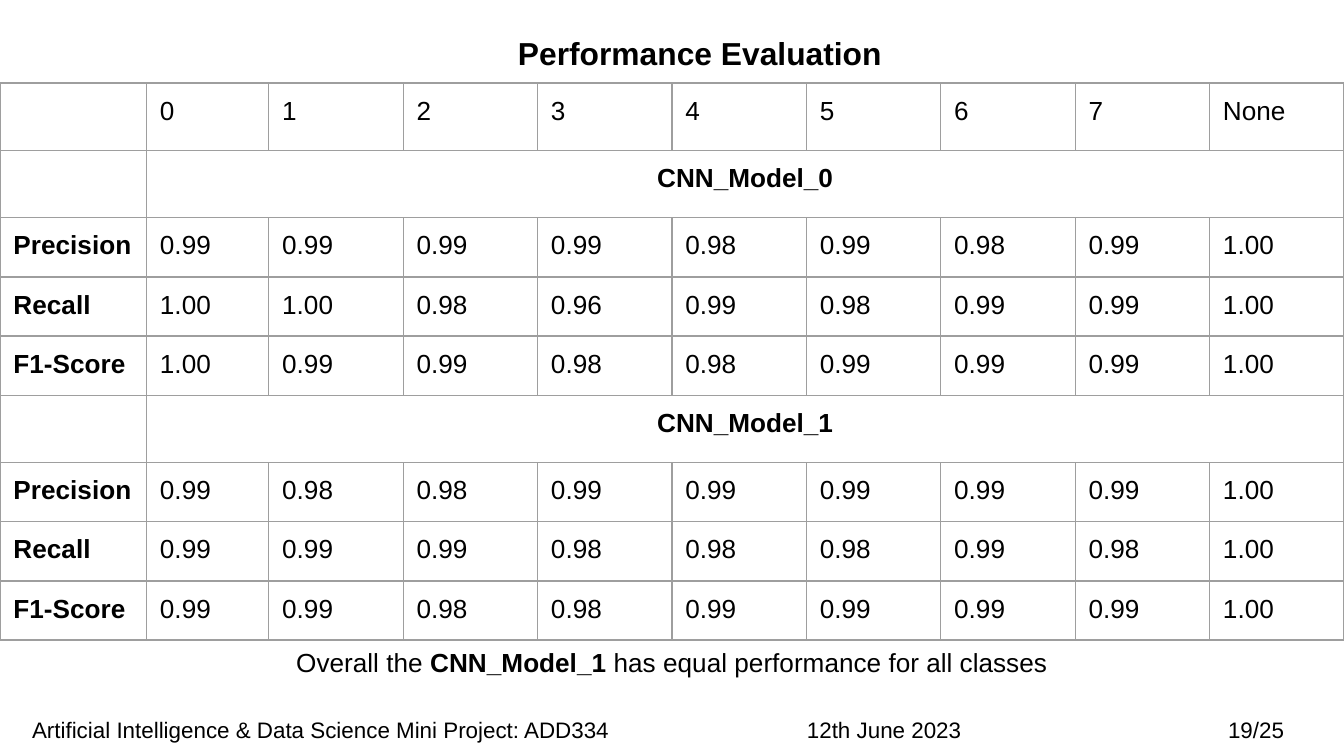
import pptx
import pptx.dml.color
import pptx.enum.text
import pptx.oxml
import pptx.oxml.ns
import pptx.util

Pt = pptx.util.Pt
ALIGN = pptx.enum.text.PP_ALIGN
ANCHOR = pptx.enum.text.MSO_ANCHOR

TITLE = "Performance Evaluation"
CLASSES = ["0", "1", "2", "3", "4", "5", "6", "7", "None"]
MODELS = {
    "CNN_Model_0": {
        "Precision": [0.99, 0.99, 0.99, 0.99, 0.98, 0.99, 0.98, 0.99, 1],
        "Recall": [1, 1, 0.98, 0.96, 0.99, 0.98, 0.99, 0.99, 1],
        "F1-Score": [1, 0.99, 0.99, 0.98, 0.98, 0.99, 0.99, 0.99, 1],
    },
    "CNN_Model_1": {
        "Precision": [0.99, 0.98, 0.98, 0.99, 0.99, 0.99, 0.99, 0.99, 1],
        "Recall": [0.99, 0.99, 0.99, 0.98, 0.98, 0.98, 0.99, 0.98, 1],
        "F1-Score": [0.99, 0.99, 0.98, 0.98, 0.99, 0.99, 0.99, 0.99, 1],
    },
}
CAPTION = [
    ("Overall the ", False),
    ("CNN_Model_1", True),
    (" has equal performance for all classes", False),
]
FOOTER = [
    "Artificial Intelligence & Data Science Mini Project: ADD334",
    "12th June 2023",
    "19/25",
]

THEME = {
    "font": "Arial", "text": "000000", "border": "9E9E9E", "background": "FFFFFF",
    "title": 17, "body": 14, "footer": 12, "border_width": 0.75, "inset": 7.2,
}
WIDTH, HEIGHT = 720, 405
TABLE_TOP = 44.5
COLUMN_WIDTHS = [78.5, 65.5] + [72] * 8
HEADING_HEIGHT, SCORE_HEIGHT = 36.1, 31.7
FOOTER_INSET = 17.2
FOOTER_TABS = [415.1, 640.7]


def style_paragraph(para, size, bold=None, align=ALIGN.LEFT):
    para.alignment = align
    para.font.name = THEME["font"]
    para.font.size = Pt(size)
    para.font.bold = bold
    para.font.color.rgb = pptx.dml.color.RGBColor.from_string(THEME["text"])


def set_insets(target, left=THEME["inset"]):
    target.margin_left = Pt(left)
    target.margin_right = target.margin_top = target.margin_bottom = Pt(THEME["inset"])


def prepare_frame(box, left=THEME["inset"]):
    frame = box.text_frame
    frame.word_wrap = True
    frame.auto_size = pptx.enum.text.MSO_AUTO_SIZE.NONE
    frame.vertical_anchor = ANCHOR.MIDDLE
    set_insets(frame, left)
    return frame.paragraphs[0]


def add_borders(cell):
    properties = cell._tc.get_or_add_tcPr()
    for side in ("lnL", "lnR", "lnT", "lnB"):
        properties.append(pptx.oxml.parse_xml(
            f'<a:{side} {pptx.oxml.ns.nsdecls("a")} w="{int(Pt(THEME["border_width"]))}">'
            f'<a:solidFill><a:srgbClr val="{THEME["border"]}"/></a:solidFill></a:{side}>'
        ))


def add_tabs(para, positions):
    stops = "".join(f'<a:tab pos="{int(Pt(place))}" algn="l"/>' for place in positions)
    tabs = pptx.oxml.parse_xml(
        f'<a:tabLst {pptx.oxml.ns.nsdecls("a")}>{stops}</a:tabLst>'
    )
    para._p.get_or_add_pPr().insert(0, tabs)


def add_scores(slide):
    rows = [[""] + CLASSES]
    heading_rows = []
    for model, metrics in MODELS.items():
        heading_rows.append(len(rows))
        rows.append(["", model] + [""] * (len(CLASSES) - 1))
        for metric, scores in metrics.items():
            rows.append([metric] + [f"{score:.2f}" for score in scores])

    heights = [
        HEADING_HEIGHT if index == 0 or index in heading_rows else SCORE_HEIGHT
        for index in range(len(rows))
    ]
    table = slide.shapes.add_table(
        len(rows), len(COLUMN_WIDTHS), Pt(0), Pt(TABLE_TOP), Pt(WIDTH), Pt(sum(heights))
    ).table
    table.first_row = table.horz_banding = False
    for column, width in zip(table.columns, COLUMN_WIDTHS):
        column.width = Pt(width)
    for row, height in zip(table.rows, heights):
        row.height = Pt(height)

    for row_index, texts in enumerate(rows):
        is_heading = row_index in heading_rows
        for column_index, text in enumerate(texts):
            cell = table.cell(row_index, column_index)
            set_insets(cell)
            cell.vertical_anchor = ANCHOR.TOP
            add_borders(cell)
            cell.fill.background()
            para = cell.text_frame.paragraphs[0]
            if text:
                para.text = text
            style_paragraph(
                para, THEME["body"], is_heading or column_index == 0,
                ALIGN.CENTER if is_heading else ALIGN.LEFT,
            )
        if is_heading:
            table.cell(row_index, 1).merge(table.cell(row_index, len(CLASSES)))


def main():
    deck = pptx.Presentation()
    deck.slide_width, deck.slide_height = Pt(WIDTH), Pt(HEIGHT)
    slide = deck.slides.add_slide(deck.slide_layouts[5])
    slide.background.fill.solid()
    slide.background.fill.fore_color.rgb = pptx.dml.color.RGBColor.from_string(
        THEME["background"]
    )

    title = slide.shapes.title
    title.left, title.top, title.width, title.height = Pt(213), Pt(10.4), Pt(324), Pt(36)
    para = prepare_frame(title)
    para.text = TITLE
    style_paragraph(para, THEME["title"], True, ALIGN.CENTER)

    add_scores(slide)

    caption = slide.shapes.add_textbox(Pt(0), Pt(339), Pt(WIDTH), Pt(31.7))
    para = prepare_frame(caption)
    for text, bold in CAPTION:
        span = para.add_run()
        span.text = text
        span.font.bold = bold
    style_paragraph(para, THEME["body"], align=ALIGN.CENTER)

    footer = slide.shapes.add_textbox(Pt(0), Pt(376.2), Pt(WIDTH), Pt(28.8))
    para = prepare_frame(footer, FOOTER_INSET)
    para.text = "\t".join(FOOTER)
    style_paragraph(para, THEME["footer"])
    add_tabs(para, FOOTER_TABS)

    deck.save("out.pptx")


if __name__ == "__main__":
    main()
